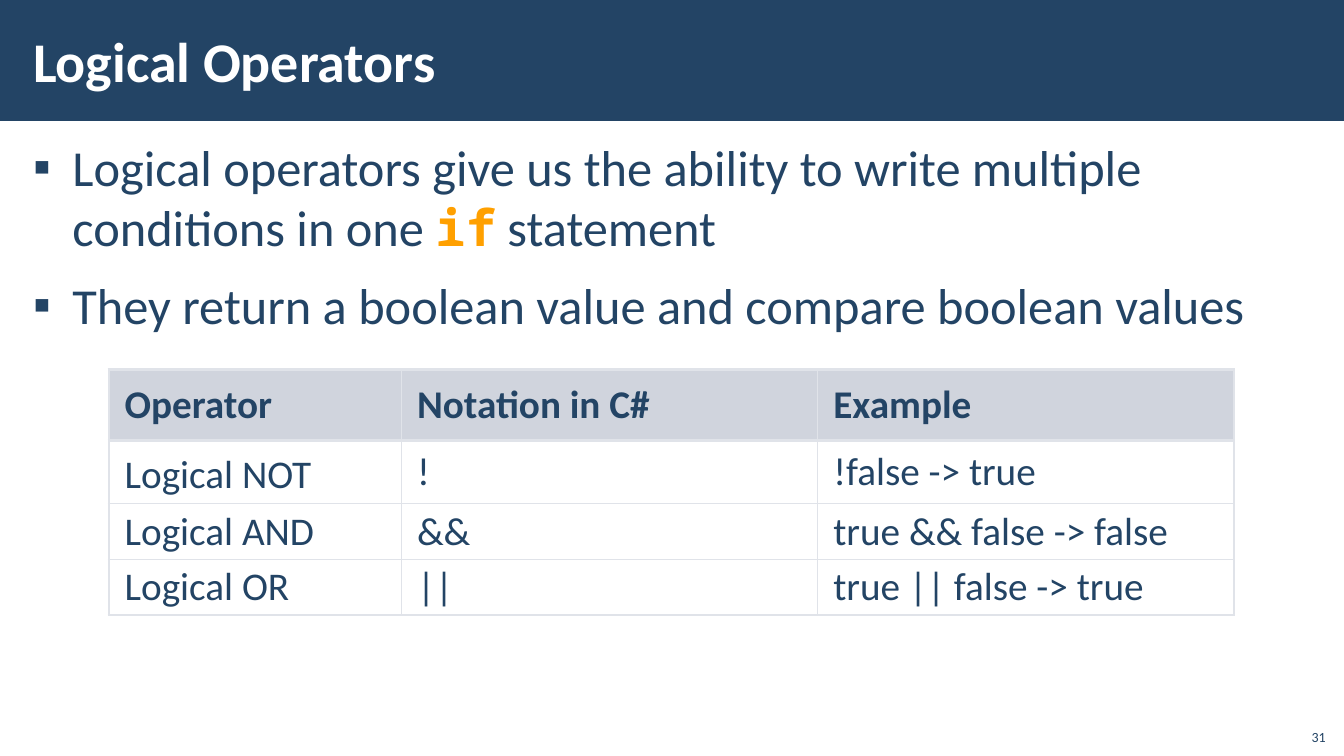
from lxml.etree import SubElement as Sub
from pptx import Presentation
from pptx.dml.color import RGBColor
from pptx.enum.shapes import MSO_SHAPE as Shape
from pptx.enum.text import MSO_ANCHOR as Anchor, MSO_AUTO_SIZE as Auto, PP_ALIGN as Align
from pptx.oxml.ns import qn
from pptx.util import Pt

NAVY, ORANGE, WHITE = "234465", "FFA000", "FFFFFF"
HEAD, EDGE = "A3ABBC", "E0E3E9"
ROWS = [
    ("Operator", "Notation in C#", "Example"),
    ("Logical NOT", "!", "!false -> true"),
    ("Logical AND", "&&", "true && false -> false"),
    ("Logical OR", "||", "true || false -> true"),
]
WIDTHS = (208.8, 297.4, 297.4)
HEIGHTS = (50.4, 45.2, 39.7, 39.7)


def color(code):
    """Turn a hex string into a colour."""
    return RGBColor.from_string(code)


def style(run, size, code=NAVY, bold=False, face="Calibri"):
    """Format one run."""
    font = run.font
    font.size, font.bold, font.name = Pt(size), bold, face
    font.color.rgb = color(code)


def place(item, box):
    """Move a shape to a box given in points."""
    item.left, item.top, item.width, item.height = map(Pt, box)


def inset(frame, side, edge):
    """Set the margins of a text frame or cell."""
    frame.margin_left = frame.margin_right = Pt(side)
    frame.margin_top = frame.margin_bottom = Pt(edge)


def header(slide, box):
    """Draw the bar with the slide title on it."""
    left, top, width, height = box
    title = slide.shapes.title
    bar = slide.shapes.add_shape(Shape.RECTANGLE, *map(Pt, box))
    bar.shadow.inherit = False
    bar.fill.solid()
    bar.fill.fore_color.rgb = color(NAVY)
    bar.line.fill.background()
    title._element.addprevious(bar._element)
    place(title, (left + 15.1, top + 8, 765.4, height - 16.4))
    frame = title.text_frame
    frame.text = "Logical Operators"
    frame.auto_size = Auto.NONE
    frame.vertical_anchor = Anchor.MIDDLE
    inset(frame, 8.5, 2.8)
    frame.paragraphs[0].alignment = Align.LEFT
    style(frame.paragraphs[0].runs[0], 40, WHITE, True)


def bullet(para):
    """Give a paragraph a square bullet and a hanging indent."""
    para.space_before = para.space_after = Pt(6)
    props = para._p.get_or_add_pPr()
    props.set("marL", str(Pt(28.1)))
    props.set("indent", str(-Pt(28.1)))
    Sub(props, qn("a:buChar"), char="▪")


def points(slide, box):
    """Fill the body with the bullet list."""
    body = slide.placeholders[1]
    place(body, box)
    frame = body.text_frame
    frame.auto_size = Auto.NONE
    inset(frame, 8.5, 2.8)
    first, last = frame.paragraphs[0], frame.add_paragraph()
    first.text = "Logical operators give us the ability to write multiple \nconditions in one "
    word = first.add_run()
    word.text = "if"
    first.add_run().text = " statement"
    last.text = "They return a boolean value and compare boolean values"
    for para in (first, last):
        bullet(para)
        for run in para.runs:
            style(run, 36)
    style(word, 36, ORANGE, True, "Noto Sans Mono")


def border(cell, side, width):
    """Draw one side of a cell."""
    props = cell._tc.get_or_add_tcPr()
    line = Sub(props, qn("a:ln" + side), w=str(Pt(width)))
    Sub(Sub(line, qn("a:solidFill")), qn("a:srgbClr"), val=EDGE)


def shade(cell, code):
    """Fill a cell with a half transparent colour."""
    cell.fill.solid()
    cell.fill.fore_color.rgb = color(code)
    tint = cell._tc.tcPr.find(qn("a:solidFill")).find(qn("a:srgbClr"))
    Sub(tint, qn("a:alpha"), val="50000")


def fill(cell, text, row, col):
    """Write, border and fill one table cell."""
    thick = {
        "L": col == 0,
        "R": col == len(WIDTHS) - 1,
        "T": row < 2,
        "B": row == 0,
    }
    for side, heavy in thick.items():
        border(cell, side, 2.25 if heavy else 1)
    if row == 0:
        shade(cell, HEAD)
    else:
        cell.fill.background()
    inset(cell, 11.3, 3.6)
    cell.vertical_anchor = Anchor.MIDDLE
    para = cell.text_frame.paragraphs[0]
    para.text = text
    para.line_spacing = 0.95
    if (row, col) == (1, 0):
        para.line_spacing = Pt(38)
    style(para.runs[0], 28, bold=row == 0)


def grid(slide, left, top):
    """Build the operator table."""
    box = (left, top, sum(WIDTHS), sum(HEIGHTS))
    table = slide.shapes.add_table(len(ROWS), len(WIDTHS), *map(Pt, box)).table
    table.first_row = table.horz_banding = False
    for column, width in zip(table.columns, WIDTHS):
        column.width = Pt(width)
    for row, (texts, height) in enumerate(zip(ROWS, HEIGHTS)):
        table.rows[row].height = Pt(height)
        for col, text in enumerate(texts):
            fill(table.cell(row, col), text, row, col)


def number(slide, box):
    """Write the slide number."""
    frame = slide.shapes.add_textbox(*map(Pt, box)).text_frame
    frame.word_wrap = True
    frame.vertical_anchor = Anchor.BOTTOM
    frame.text = "31"
    frame.paragraphs[0].alignment = Align.RIGHT
    style(frame.paragraphs[0].runs[0], 10)


def main():
    """Build and save the slide."""
    deck = Presentation()
    deck.slide_width, deck.slide_height = Pt(960), Pt(540)
    slide = deck.slides.add_slide(deck.slide_layouts[1])
    header(slide, (0, 0, 960, 86.4))
    points(slide, (15.1, 94.3, 930.2, 435.6))
    grid(slide, 77.8, 264.2)
    number(slide, (925.2, 512.6, 28.8, 23))
    deck.save("out.pptx")


if __name__ == "__main__":
    main()
